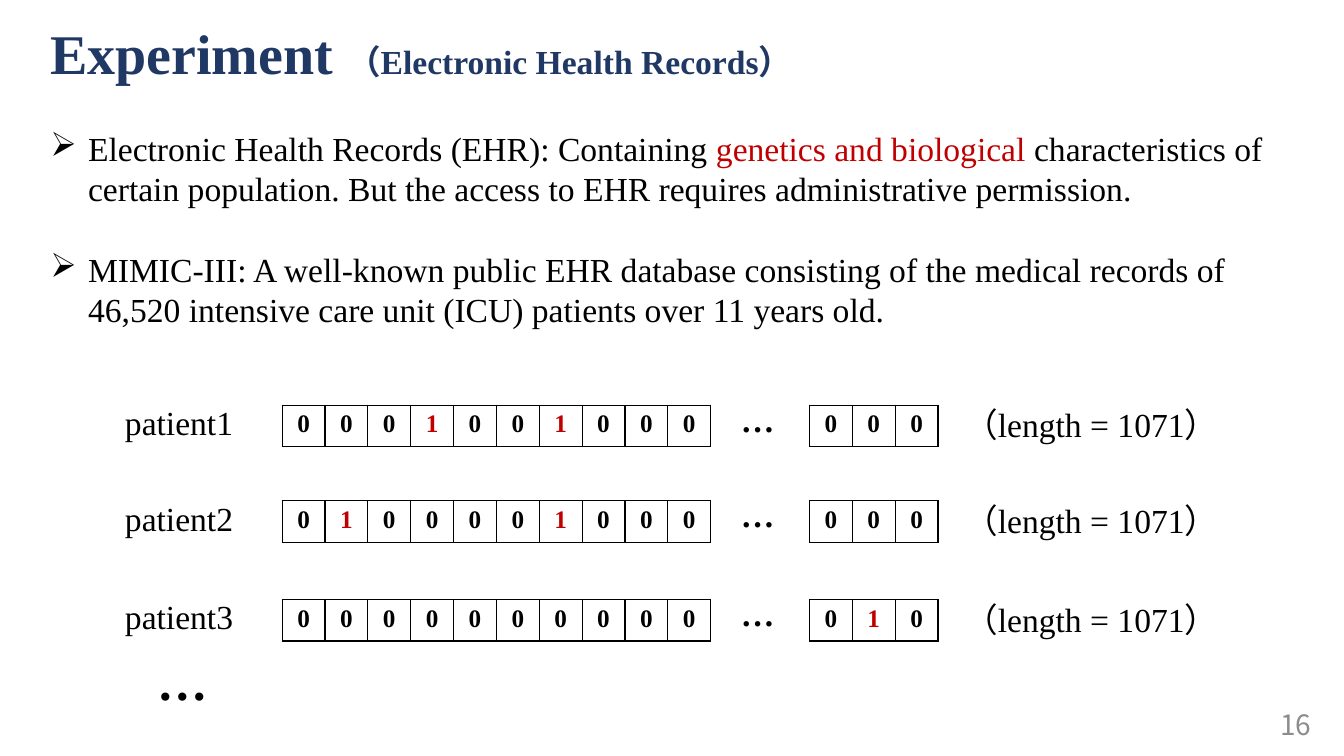
import pptx
import pptx.util
import pptx.dml.color
import pptx.enum.text
from lxml import etree
from pptx.oxml.ns import qn

Cm, Pt = pptx.util.Cm, pptx.util.Pt
RGBColor = pptx.dml.color.RGBColor
ALIGN = pptx.enum.text.PP_ALIGN
ANCHOR = pptx.enum.text.MSO_ANCHOR

BLACK = RGBColor(0x00, 0x00, 0x00)
WHITE = RGBColor(0xFF, 0xFF, 0xFF)
RED = RGBColor(0xC0, 0x00, 0x00)
NAVY = RGBColor(0x20, 0x38, 0x64)
GREY = RGBColor(0x8C, 0x8C, 0x8C)
SERIF = "Times New Roman"
CJK = "Noto Sans CJK SC"

BULLETS = [
    [("Electronic Health Records (EHR): Containing ", BLACK),
     ("genetics and biological", RED),
     (" characteristics of certain population. But the access to EHR "
      "requires administrative permission.", BLACK)],
    [("MIMIC-III: A well-known public EHR database consisting of the medical "
      "records of 46,520 intensive care unit (ICU) patients over 11 years old.", BLACK)],
]
# label, first bits, last bits, top of the bit row in cm
PATIENTS = [
    ("patient1", "0001001000", "000", 10.21),
    ("patient2", "0100001000", "000", 12.62),
    ("patient3", "0000000000", "010", 15.11),
]
LENGTH = "（length = 1071）"
BIT_W, BIT_H = 1.08, 1.04
HEAD_X, TAIL_X = 7.11, 20.4


def add_run(p, text, size=24, color=BLACK, bold=False, font=SERIF, ea=None):
    r = p.add_run()
    r.text = text
    r.font.size = Pt(size)
    r.font.bold = bold
    r.font.name = font
    r.font.color.rgb = color
    if ea:
        r.font._element.find(qn("a:latin")).addnext(
            r.font._element.makeelement(qn("a:ea"), {"typeface": ea}))


def add_box(x, y, w, h):
    tf = s.shapes.add_textbox(Cm(x), Cm(y), Cm(w), Cm(h)).text_frame
    tf.word_wrap = True
    return tf


def add_label(x, y, w, h, text, **fmt):
    add_run(add_box(x, y, w, h).paragraphs[0], text, **fmt)


def add_bullet(p):
    pPr = p._p.get_or_add_pPr()
    pPr.set("marL", str(Cm(0.95)))
    pPr.set("indent", str(-Cm(0.95)))
    etree.SubElement(pPr, qn("a:buChar")).set("char", "➢")


def add_borders(cell):
    tcPr = cell._tc.get_or_add_tcPr()
    for side in ("lnL", "lnR", "lnT", "lnB"):
        ln = etree.SubElement(tcPr, qn("a:" + side), w=str(Pt(1)))
        fill = etree.SubElement(ln, qn("a:solidFill"))
        etree.SubElement(fill, qn("a:srgbClr"), val=str(BLACK))


def add_bits(x, y, bits):
    """One-row table of bits, with the ones in red."""
    table = s.shapes.add_table(1, len(bits), Cm(x), Cm(y),
                               Cm(BIT_W * len(bits)), Cm(BIT_H)).table
    table.first_row = table.horz_banding = False
    for i, bit in enumerate(bits):
        table.columns[i].width = Cm(BIT_W)
        cell = table.cell(0, i)
        add_borders(cell)
        cell.fill.solid()
        cell.fill.fore_color.rgb = WHITE
        p = cell.text_frame.paragraphs[0]
        p.alignment = ALIGN.CENTER
        add_run(p, bit, size=18, bold=True, color=RED if bit == "1" else BLACK)


prs = pptx.Presentation()
prs.slide_width, prs.slide_height = Cm(33.87), Cm(19.05)
s = prs.slides.add_slide(prs.slide_layouts[6])

tf = add_box(31.78, 17.73, 1.52, 1.02)
tf.vertical_anchor = ANCHOR.MIDDLE
p = tf.paragraphs[0]
p.alignment = ALIGN.RIGHT
add_run(p, "16", size=20, color=GREY, font=CJK)

p = add_box(1.02, 0.33, 32.49, 1.96).paragraphs[0]
add_run(p, "Experiment ", size=40, color=NAVY, bold=True)
add_run(p, "（Electronic Health Records）", color=NAVY, bold=True, ea=CJK)

tf = add_box(1.02, 3.1, 31.39, 5.38)
for i, parts in enumerate(BULLETS):
    p = tf.add_paragraph() if i else tf.paragraphs[0]
    add_bullet(p)
    if i:
        p.space_before = Pt(28.8)
    for text, color in parts:
        add_run(p, text, color=color)

for name, head, tail, y in PATIENTS:
    add_bits(HEAD_X, y, head)
    add_bits(TAIL_X, y, tail)
    add_label(18.42, y - 0.29, 2.31, 1.27, "…", bold=True)
    add_label(24.05, y - 0.15, 8.13, 1.27, LENGTH, ea=CJK)
    add_label(2.9, y - 0.21, 3.23, 1.27, name)

add_label(3.71, 16.26, 2.77, 1.8, "…", size=36, bold=True)

prs.save("out.pptx")
